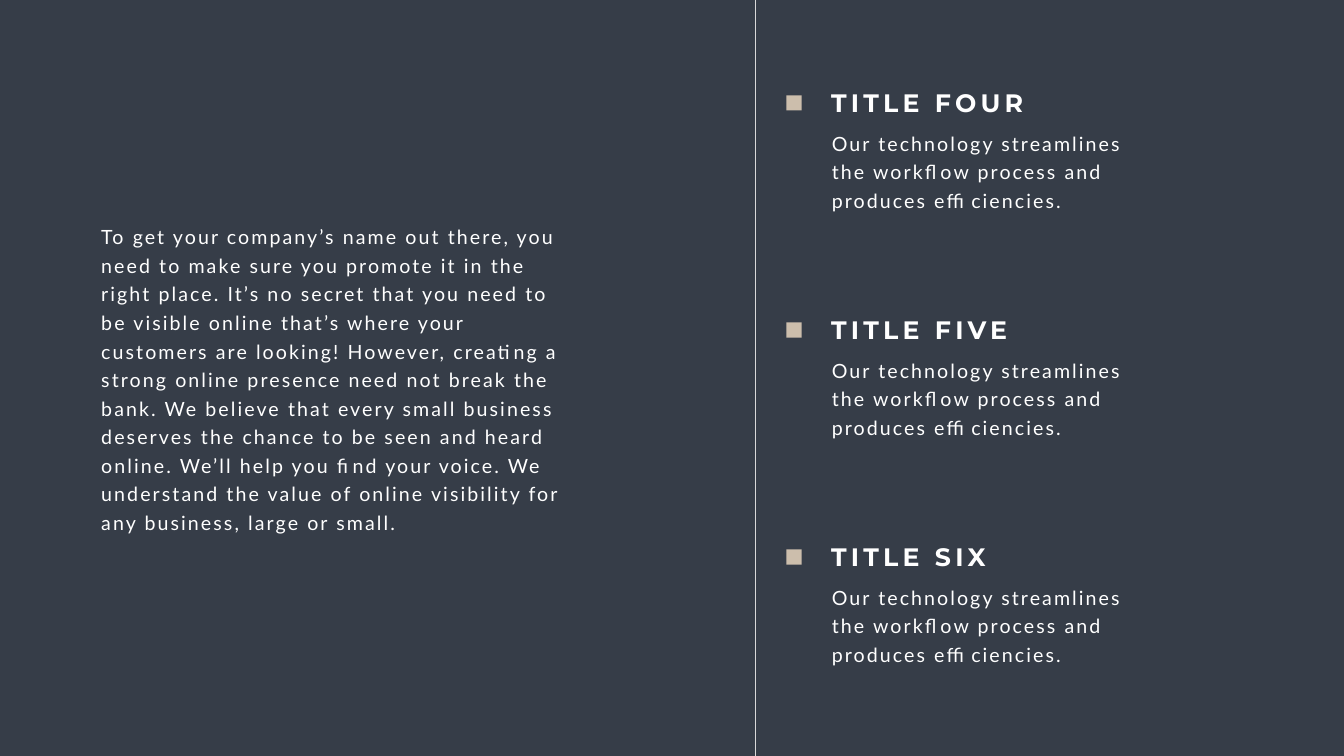
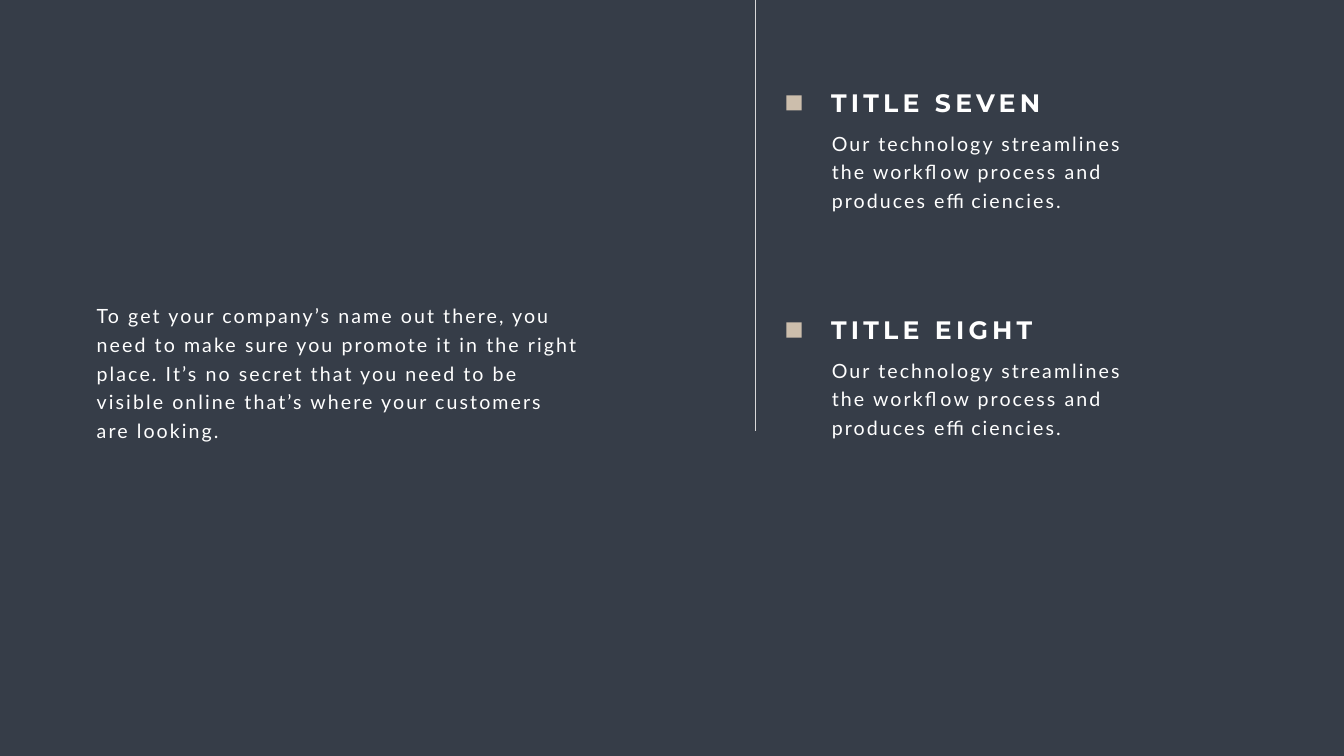
from pptx import Presentation
from pptx.dml.color import RGBColor
from pptx.enum import shapes, text
from pptx.oxml.xmlchemy import OxmlElement
from pptx.util import Pt

NAVY = RGBColor(0x36, 0x3D, 0x48)
SAND = RGBColor(0xCC, 0xBE, 0xAC)
GREY = RGBColor(0xD9, 0xD9, 0xD9)
WHITE = RGBColor(0xFF, 0xFF, 0xFF)

WIDE, HIGH = 1919.52, 1080
RULE_X = 1079.28
TOP, STEP = 121.68, 324.36
LEAD = 40.8

BLURB = "Our technology streamlines the workflow process and produces efficiencies."
INTRO = (
    "To get your company’s name out there, you need to make sure you promote it "
    "in the right place. It’s no secret that you need to be visible online "
    "that’s where your customers are looking"
)
MORE = (
    "! However, creating a strong online presence need not break the bank. "
    "We believe that every small business deserves the chance to be seen and "
    "heard online. We’ll help you find your voice. We understand the value of "
    "online visibility for any business, large or small."
)


def add_text(home, box, words, face, size, gap, bold=False, lead=None, pad=(7.2, 3.6)):
    frame = home.add_textbox(*map(Pt, box)).text_frame
    frame.word_wrap = True
    frame.auto_size = text.MSO_AUTO_SIZE.SHAPE_TO_FIT_TEXT
    frame.margin_left = frame.margin_right = Pt(pad[0])
    frame.margin_top = frame.margin_bottom = Pt(pad[1])
    para = frame.paragraphs[0]
    if lead:
        para.line_spacing = Pt(lead)
    run = para.add_run()
    run.text = words
    font = run.font
    font.name, font.size, font.bold = face, Pt(size), bold
    font.color.rgb = WHITE
    run._r.get_or_add_rPr().set("spc", str(gap * 100))


def add_body(home, box, words, **style):
    add_text(home, box, words, "Lato", 28, 3, lead=LEAD, **style)


def add_rule(slide, end):
    rule = slide.shapes.add_connector(
        shapes.MSO_CONNECTOR.STRAIGHT, Pt(RULE_X), 0, Pt(RULE_X), Pt(end))
    rule.line.color.rgb = GREY
    rule.line.width = Pt(0.5)
    rule._element.spPr.append(OxmlElement("a:effectLst"))


def add_item(slide, top, title):
    group = slide.shapes.add_group_shape().shapes
    mark = group.add_shape(
        shapes.MSO_SHAPE.RECTANGLE, Pt(1123.2), Pt(top + 14.6), Pt(21.6), Pt(21.6))
    mark.shadow.inherit = False
    mark.fill.solid()
    mark.fill.fore_color.rgb = SAND
    mark.line.fill.background()
    add_body(group, (1170.72, top + 50.6, 506.88, 137.52), BLURB, pad=(17.28, 8.64))
    add_text(group, (1180.08, top, 384.48, 51.12), title, "Montserrat", 36, 6, bold=True)


def add_page(deck, end, titles, box, words):
    slide = deck.slides.add_slide(deck.slide_layouts[6])
    slide.background.fill.solid()
    slide.background.fill.fore_color.rgb = NAVY
    add_rule(slide, end)
    for row, title in enumerate(titles):
        add_item(slide, TOP + row * STEP, title)
    add_body(slide.shapes, box, words)


def main():
    deck = Presentation()
    deck.slide_width, deck.slide_height = Pt(WIDE), Pt(HIGH)
    add_page(deck, HIGH, ("TITLE FOUR", "TITLE FIVE", "TITLE SIX"),
             (137.52, 311.04, 684, 458.64), INTRO + MORE)
    add_page(deck, 616.32, ("TITLE SEVEN", "TITLE EIGHT"),
             (131.04, 424.08, 703.44, 210.24), INTRO + ".")
    deck.save("out.pptx")


if __name__ == "__main__":
    main()
